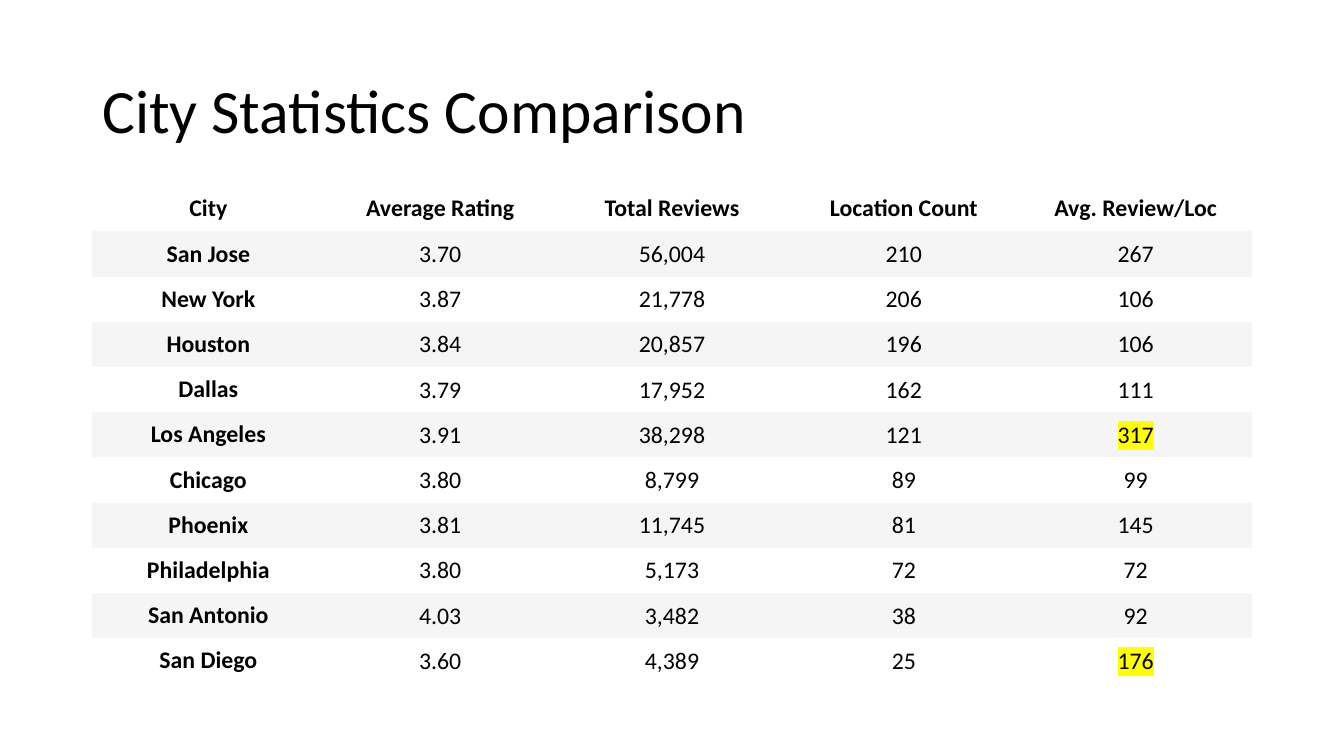
from lxml import etree
from pptx import Presentation
from pptx.dml.color import RGBColor
from pptx.enum.text import MSO_ANCHOR, PP_ALIGN
from pptx.oxml.ns import qn
from pptx.util import Cm, Pt

MIDDLE = MSO_ANCHOR.MIDDLE
CENTER = PP_ALIGN.CENTER

FONT = "Calibri"
BLACK = "000000"
WHITE = "FFFFFF"
BAND = "F5F5F5"
YELLOW = "FFFF00"
PLAIN_TABLE_STYLE = "{2D5ABB26-0587-4C30-8999-92F81FD0307C}"

LEFT, WIDTH = 2.33, 29.21
ROW_HEIGHT = 1.14

HEADERS = ["City", "Average Rating", "Total Reviews", "Location Count", "Avg. Review/Loc"]
CITIES = [
    ["San Jose", "3.70", "56,004", "210", "267"],
    ["New York", "3.87", "21,778", "206", "106"],
    ["Houston", "3.84", "20,857", "196", "106"],
    ["Dallas", "3.79", "17,952", "162", "111"],
    ["Los Angeles", "3.91", "38,298", "121", "317"],
    ["Chicago", "3.80", "8,799", "89", "99"],
    ["Phoenix", "3.81", "11,745", "81", "145"],
    ["Philadelphia", "3.80", "5,173", "72", "72"],
    ["San Antonio", "4.03", "3,482", "38", "92"],
    ["San Diego", "3.60", "4,389", "25", "176"],
]
HIGHLIGHTED_CITIES = {"Los Angeles", "San Diego"}


def color(hex_string):
    return RGBColor.from_string(hex_string)


def format_run(run, size, bold=False):
    run.font.name = FONT
    run.font.size = Pt(size)
    run.font.bold = bold
    run.font.color.rgb = color(BLACK)


def highlight_run(run, hex_string):
    # The highlight element must follow the text fill
    fill = run.font._element.find(qn("a:solidFill"))
    highlight = etree.Element(qn("a:highlight"))
    etree.SubElement(highlight, qn("a:srgbClr"), val=hex_string)
    fill.addnext(highlight)


def add_title(slide, text):
    box = slide.shapes.add_textbox(Cm(LEFT), Cm(1.01), Cm(WIDTH), Cm(3.68))
    text_frame = box.text_frame
    text_frame.word_wrap = True
    text_frame.vertical_anchor = MIDDLE
    text_frame.text = text
    paragraph = text_frame.paragraphs[0]
    paragraph.line_spacing = 0.9
    format_run(paragraph.runs[0], 44)


def fill_cell(cell, text, background, is_label):
    cell.fill.solid()
    cell.fill.fore_color.rgb = color(background)
    cell.vertical_anchor = MIDDLE
    if not is_label:
        cell.margin_left = cell.margin_right = cell.margin_top = Cm(0.02)
        cell.margin_bottom = Cm(0)
    cell.text_frame.text = text
    paragraph = cell.text_frame.paragraphs[0]
    paragraph.alignment = CENTER
    format_run(paragraph.runs[0], 17, is_label)


def add_city_table(slide):
    rows = [HEADERS] + CITIES
    last_column = len(HEADERS) - 1
    frame = slide.shapes.add_table(len(rows), len(HEADERS), Cm(LEFT), Cm(4.69),
                                   Cm(WIDTH), Cm(ROW_HEIGHT * len(rows)))
    table = frame.table
    table._tbl.tblPr.find(qn("a:tableStyleId")).text = PLAIN_TABLE_STYLE
    table.horz_banding = False

    for row_index, values in enumerate(rows):
        table.rows[row_index].height = Cm(ROW_HEIGHT)
        background = BAND if row_index % 2 else WHITE
        for column_index, text in enumerate(values):
            is_label = row_index == 0 or column_index == 0
            fill_cell(table.cell(row_index, column_index), text, background, is_label)

        # Mark the cities with many reviews per location
        if values[0] in HIGHLIGHTED_CITIES:
            paragraph = table.cell(row_index, last_column).text_frame.paragraphs[0]
            highlight_run(paragraph.runs[0], YELLOW)


def main():
    presentation = Presentation()
    presentation.slide_width = Cm(33.87)
    presentation.slide_height = Cm(19.05)
    slide = presentation.slides.add_slide(presentation.slide_layouts[6])
    add_title(slide, "City Statistics Comparison")
    add_city_table(slide)
    presentation.save("out.pptx")


if __name__ == "__main__":
    main()
